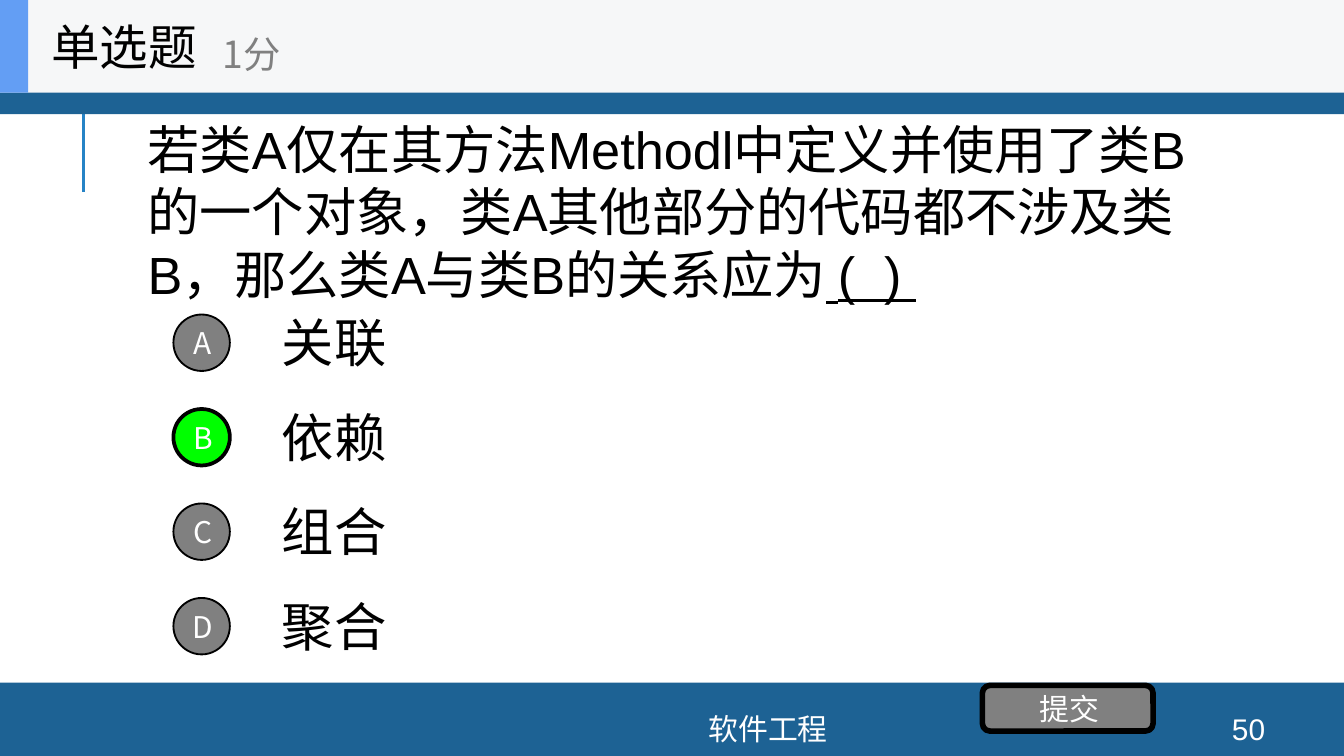
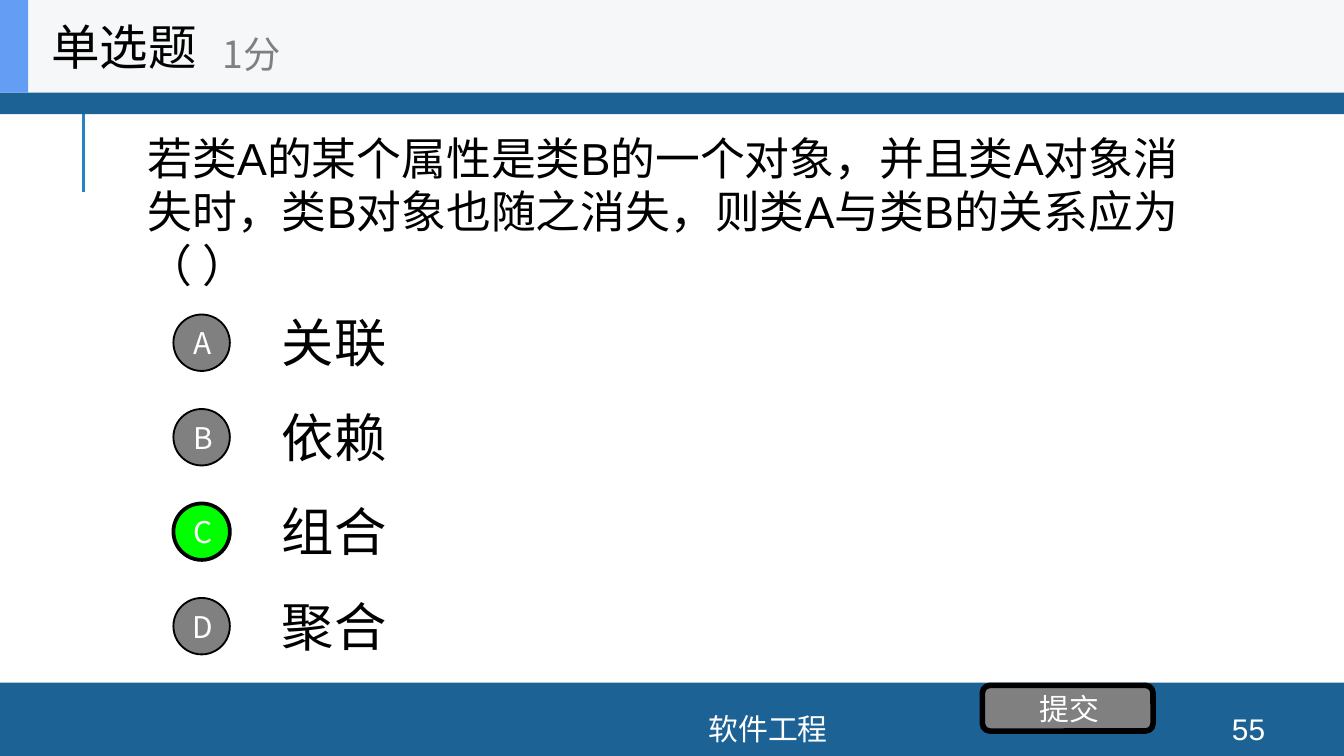
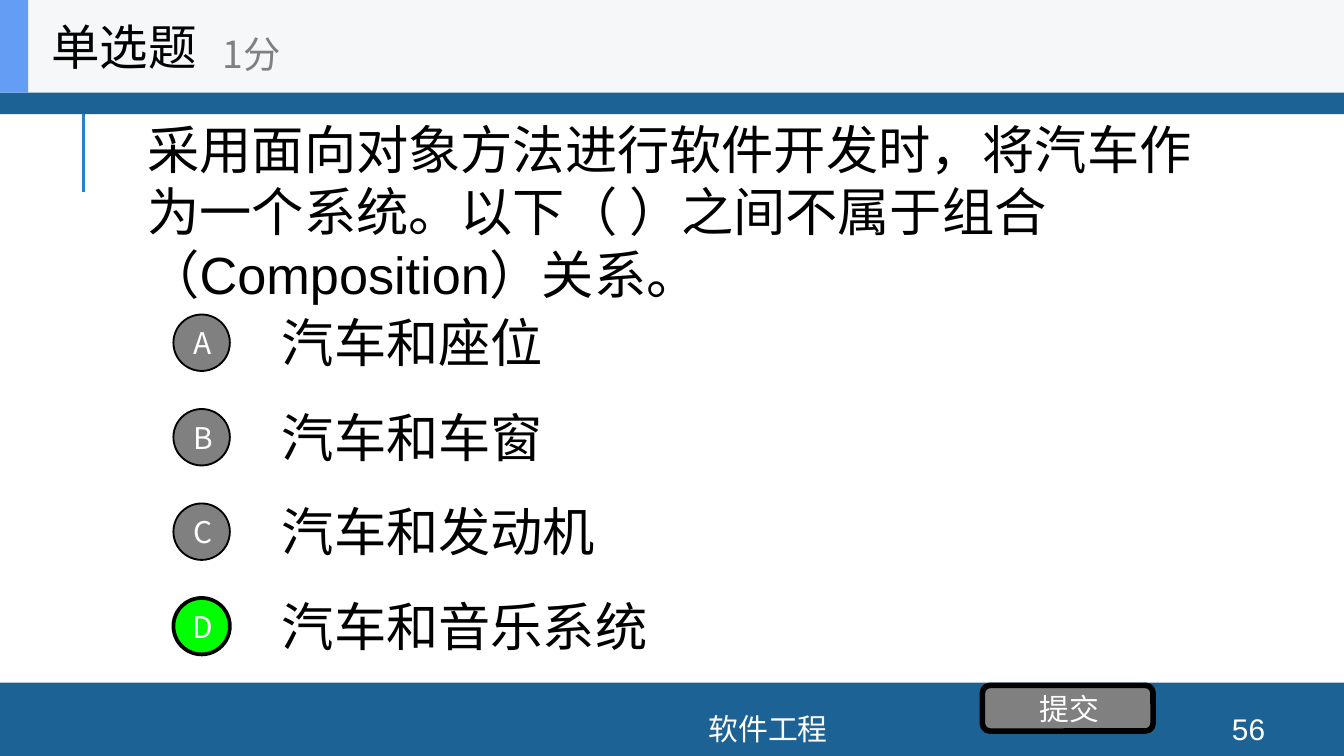
import pptx
import pptx.util
import pptx.dml.color
import pptx.oxml
import pptx.oxml.ns
from pptx.enum.shapes import MSO_CONNECTOR, MSO_SHAPE
from pptx.enum.text import MSO_ANCHOR, MSO_AUTO_SIZE, PP_ALIGN

Inches = pptx.util.Inches
Pt = pptx.util.Pt

# Shared look
SLIDE_W = 10
SLIDE_H = SLIDE_W * 9 / 16
BAND, RULE, ACCENT, HEADER = "1D6294", "2683C6", "639EF4", "F6F7F8"
GREY, GREEN, BLACK, WHITE = "808080", "00FF00", "000000", "FFFFFF"
LATIN, CJK = "Arial", "Noto Sans CJK SC"
PAD = 0.1

RELATIONS = ["关联", "依赖", "组合", "聚合"]
QUESTIONS = [
    dict(page=50, size=28, answer="B", options=RELATIONS, blank=" (  ) ",
         stem="若类A仅在其方法Methodl中定义并使用了类B的一个对象，"
              "类A其他部分的代码都不涉及类B，那么类A与类B的关系应为"),
    dict(page=55, size=24, answer="C", options=RELATIONS,
         stem="若类A的某个属性是类B的一个对象，并且类A对象消失时，"
              "类B对象也随之消失，则类A与类B的关系应为（ ）"),
    dict(page=56, size=28, answer="D",
         options=["汽车和座位", "汽车和车窗", "汽车和发动机", "汽车和音乐系统"],
         stem="采用面向对象方法进行软件开发时，将汽车作为一个系统。"
              "以下（ ）之间不属于组合（Composition）关系。"),
]


def rgb(value):
    return pptx.dml.color.RGBColor.from_string(value)


def place(sp, x, y, w, h):
    sp.left, sp.top, sp.width, sp.height = (Inches(v) for v in (x, y, w, h))


def add_run(p, text, size=16, font=LATIN, color=WHITE, underline=None):
    r = p.add_run()
    r.text = text
    r.font.size, r.font.name, r.font.underline = Pt(size), font, underline
    r.font.color.rgb = rgb(color)
    ea = pptx.oxml.parse_xml(f'<a:ea {pptx.oxml.ns.nsdecls("a")} typeface="{CJK}"/>')
    r._r.get_or_add_rPr().append(ea)


def write(sp, text, align=PP_ALIGN.LEFT, pad=PAD, **fmt):
    """Format the text frame of a shape and write its one paragraph."""
    tf = sp.text_frame
    tf.word_wrap, tf.auto_size = True, MSO_AUTO_SIZE.NONE
    tf.vertical_anchor = MSO_ANCHOR.MIDDLE
    tf.margin_left = tf.margin_right = Inches(pad)
    tf.margin_top = tf.margin_bottom = Inches(pad / 2)
    p = tf.paragraphs[0]
    p.alignment = align
    add_run(p, text, **fmt)
    return p


def add_text(s, box, text, **fmt):
    return write(s.shapes.add_textbox(*(Inches(v) for v in box)), text, **fmt)


def add_box(s, box, fill, kind=MSO_SHAPE.RECTANGLE, line=None, label=None):
    sp = s.shapes.add_shape(kind, *(Inches(v) for v in box))
    sp.shadow.inherit = False
    sp.fill.solid()
    sp.fill.fore_color.rgb = rgb(fill)
    if line:
        sp.line.color.rgb, sp.line.width = rgb(BLACK), Pt(line)
    else:
        sp.line.fill.background()
    if label:
        write(sp, label, align=PP_ALIGN.CENTER, pad=0, font=CJK)
        sp.text_frame.margin_left = Inches(0.02)


def add_frame(s, page):
    # Side rule, bands and footer
    rule = s.shapes.add_connector(MSO_CONNECTOR.STRAIGHT, Inches(0.62), Inches(1.43),
                                  Inches(0.62), Inches(0.68))
    rule.line.color.rgb, rule.line.width = rgb(RULE), Pt(1.5)
    rule._element.spPr.append(
        pptx.oxml.parse_xml(f'<a:effectLst {pptx.oxml.ns.nsdecls("a")}/>'))
    add_box(s, (0, 5.08, SLIDE_W, SLIDE_H - 5.08), BAND)
    add_box(s, (0, -0.03, SLIDE_W, 0.88), BAND)
    for x, w, text in ((2.61, 6.21, "软件工程"), (8.89, 0.8, str(page))):
        add_text(s, (x, 5.31, w, 0.23), text, align=PP_ALIGN.CENTER)


def add_header(s, x, y, w, h):
    # Pale strip with accent, title and score
    add_box(s, (x, y, w, h), HEADER)
    add_box(s, (x, y, 0.21, h), ACCENT)
    title = s.shapes.title
    place(title, x + 0.28, y, 2.08, h)
    write(title, "单选题", size=26, font=CJK, color=BLACK)
    title.element.getparent().append(title.element)  # bring in front of the strip
    add_text(s, (x + 1.56, y + 0.12, 2.5, 0.56), "1分", size=20, font=CJK, color=GREY)


def add_options(s, x, y, options, answer, pitch=SLIDE_H / 8):
    # Lettered circles; the right answer is green
    for i, (letter, text) in enumerate(zip("ABCD", options)):
        top = y + i * pitch
        add_text(s, (x + 0.71, top, 7, 0.53), text, size=28, color=BLACK)
        right = letter == answer
        add_box(s, (x, top + 0.06, 0.42, 0.42), GREEN if right else GREY,
                MSO_SHAPE.OVAL, line=2 if right else 1, label=letter)


def add_question(prs, page, size, answer, options, stem, blank=None):
    s = prs.slides.add_slide(prs.slide_layouts[5])
    add_frame(s, page)
    p = add_text(s, (1, 0.69, 8, 1.76), stem, size=size, color=BLACK)
    if blank:
        add_run(p, blank, size=size, color=BLACK, underline=True)
    add_options(s, 1.29, 2.28, options, answer)
    add_box(s, (7.31, 5.1, 1.27, 0.34), GREY, MSO_SHAPE.ROUNDED_RECTANGLE,
            line=3, label="提交")
    add_header(s, 0, 0, SLIDE_W, 0.69)


def main():
    prs = pptx.Presentation()
    prs.slide_width, prs.slide_height = Inches(SLIDE_W), Inches(SLIDE_H)
    for question in QUESTIONS:
        add_question(prs, **question)
    prs.save("out.pptx")


if __name__ == "__main__":
    main()
